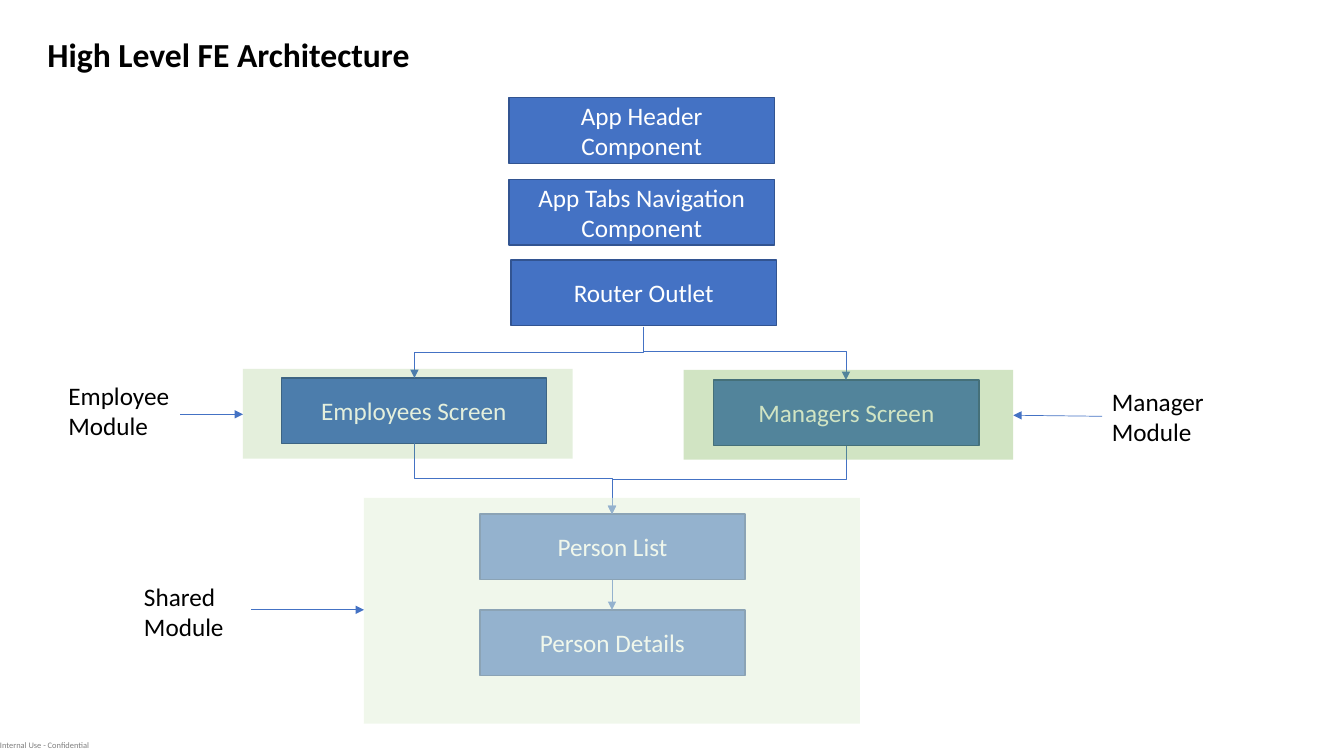
"""Build the front-end architecture slide."""
from lxml import etree
from pptx import Presentation
from pptx import util as u
from pptx.dml.color import RGBColor
from pptx.enum import shapes, text
from pptx.oxml import ns

BLUE, EDGE, BLACK, WHITE = "4472C4", "325491", "000000", "FFFFFF"
BOX_W, BOX_H = 2.63, 0.65


def color(code):
    """Turn a hex string into a colour."""
    return RGBColor.from_string(code)


def child(parent, tag, **attrs):
    """Append a drawing element to its parent."""
    return etree.SubElement(parent, ns.qn(tag), **attrs)


def place(shape, left, top, width, height):
    """Move and size a shape in inches."""
    shape.left, shape.top = u.Inches(left), u.Inches(top)
    shape.width, shape.height = u.Inches(width), u.Inches(height)


def write(shape, words, size, code, align=text.PP_ALIGN.LEFT, bold=False):
    """Fill a shape with one styled paragraph."""
    shape.text_frame.text = words
    para = shape.text_frame.paragraphs[0]
    para.alignment = align
    font = para.runs[0].font
    font.name, font.size, font.bold = "Calibri", u.Pt(size), bold
    font.color.rgb = color(code)


def rect(slide, left, top, width, height, code):
    """Add a flat rectangle."""
    shape = slide.shapes.add_shape(
        shapes.MSO_SHAPE.RECTANGLE,
        *map(u.Inches, (left, top, width, height)))
    shape.shadow.inherit = False
    shape.fill.solid()
    shape.fill.fore_color.rgb = color(code)
    return shape


def box(slide, words, left, top):
    """Add a component box."""
    shape = rect(slide, left, top, BOX_W, BOX_H, BLUE)
    shape.line.color.rgb = color(EDGE)
    shape.line.width = u.Pt(1)
    shape.text_frame.word_wrap = True
    shape.text_frame.vertical_anchor = text.MSO_ANCHOR.MIDDLE
    write(shape, words, 18, WHITE, text.PP_ALIGN.CENTER)


def veil(slide, left, top, width, height, code, alpha):
    """Add a see-through module area."""
    shape = rect(slide, left, top, width, height, code)
    shape.line.fill.background()
    tint = shape._element.spPr.find(".//" + ns.qn("a:srgbClr"))
    child(tint, "a:alpha", val=str(alpha * 1000))


def label(slide, words, left, top, width):
    """Add a module label."""
    shape = slide.shapes.add_textbox(
        *map(u.Inches, (left, top, width, 0.71)))
    shape.text_frame.word_wrap = True
    write(shape, words, 18, BLACK)


def arrow(slide, x1, y1, x2, y2, kind=shapes.MSO_CONNECTOR.STRAIGHT):
    """Add a thin arrow and return it."""
    line = slide.shapes.add_connector(
        kind, *map(u.Inches, (x1, y1, x2, y2)))
    line.line.color.rgb = color(BLUE)
    line.line.width = u.Pt(0.5)
    child(line.line._get_or_add_ln(), "a:tailEnd", type="triangle")
    child(line._element.spPr, "a:effectLst")
    return line


def drop(slide, x1, y1, x2, y2):
    """Add an elbow arrow that leaves and arrives vertically."""
    width, height = y2 - y1, abs(x2 - x1)
    left = (x1 + x2 - width) / 2
    top = (y1 + y2 - height) / 2
    line = arrow(slide, left, top, left + width, top + height,
                 shapes.MSO_CONNECTOR.ELBOW)
    frame = line._element.spPr.find(ns.qn("a:xfrm"))
    frame.set("rot", str((90 if x2 < x1 else 270) * 60000))
    if x2 > x1:
        frame.set("flipH", "1")


def corner(slide, x1, y1, x2, y2):
    """Add an arrow with one bend, across and then down."""
    line = arrow(slide, x1, y1, x2, y2, shapes.MSO_CONNECTOR.ELBOW)
    line._element.spPr.find(ns.qn("a:prstGeom")).set(
        "prst", "bentConnector2")


def footer(slide, words):
    """Add the small classification line."""
    shape = slide.shapes.add_textbox(
        *map(u.Inches, (0, 7.29, 1.13, 0.21)))
    frame = shape.text_frame
    frame.margin_left = frame.margin_right = 0
    frame.margin_top = frame.margin_bottom = 0
    frame.vertical_anchor = text.MSO_ANCHOR.MIDDLE
    frame.word_wrap = False
    write(shape, words, 6, "7F7F7F")


def main():
    """Build and save the slide."""
    deck = Presentation()
    deck.slide_width, deck.slide_height = u.Inches(13.33), u.Inches(7.5)
    slide = deck.slides.add_slide(deck.slide_layouts[5])
    title = slide.shapes.title
    place(title, 0.37, 0.29, 4.57, 0.5)
    title.text_frame.vertical_anchor = text.MSO_ANCHOR.TOP
    write(title, "High Level FE Architecture", 24, BLACK, bold=True)
    footer(slide, "Internal Use - Confidential")

    for words, left, top in (
            ("App Header Component", 5.05, 0.97),
            ("App Tabs Navigation Component", 5.05, 1.78),
            ("Router Outlet", 5.07, 2.58),
            ("Employees Screen", 2.79, 3.75),
            ("Managers Screen", 7.08, 3.77),
            ("Person List", 4.76, 5.1),
            ("Person Details", 4.76, 6.05)):
        box(slide, words, left, top)

    router, staff, boss, person = 6.38, 4.11, 8.39, 6.07
    drop(slide, router, 3.24, staff, 3.75)
    corner(slide, router, 3.49, boss, 3.77)
    drop(slide, staff, 4.4, person, 5.1)
    drop(slide, boss, 4.42, person, 5.1)
    arrow(slide, person, 5.75, person, 6.05)

    veil(slide, 3.61, 4.94, 4.92, 2.24, "E2F0D9", 51)
    veil(slide, 2.41, 3.66, 3.27, 0.89, "70AD47", 19)
    veil(slide, 6.78, 3.67, 3.27, 0.89, "70AD47", 32)

    label(slide, "Shared Module", 1.33, 5.72, 1.46)
    label(slide, "Employee Module", 0.58, 3.72, 1.24)
    label(slide, "Manager Module", 10.93, 3.78, 1.24)
    arrow(slide, 2.49, 6.05, 3.61, 6.05)
    arrow(slide, 1.79, 4.11, 2.41, 4.11)
    arrow(slide, 10.93, 4.13, 10.05, 4.12)
    deck.save("out.pptx")


main()
